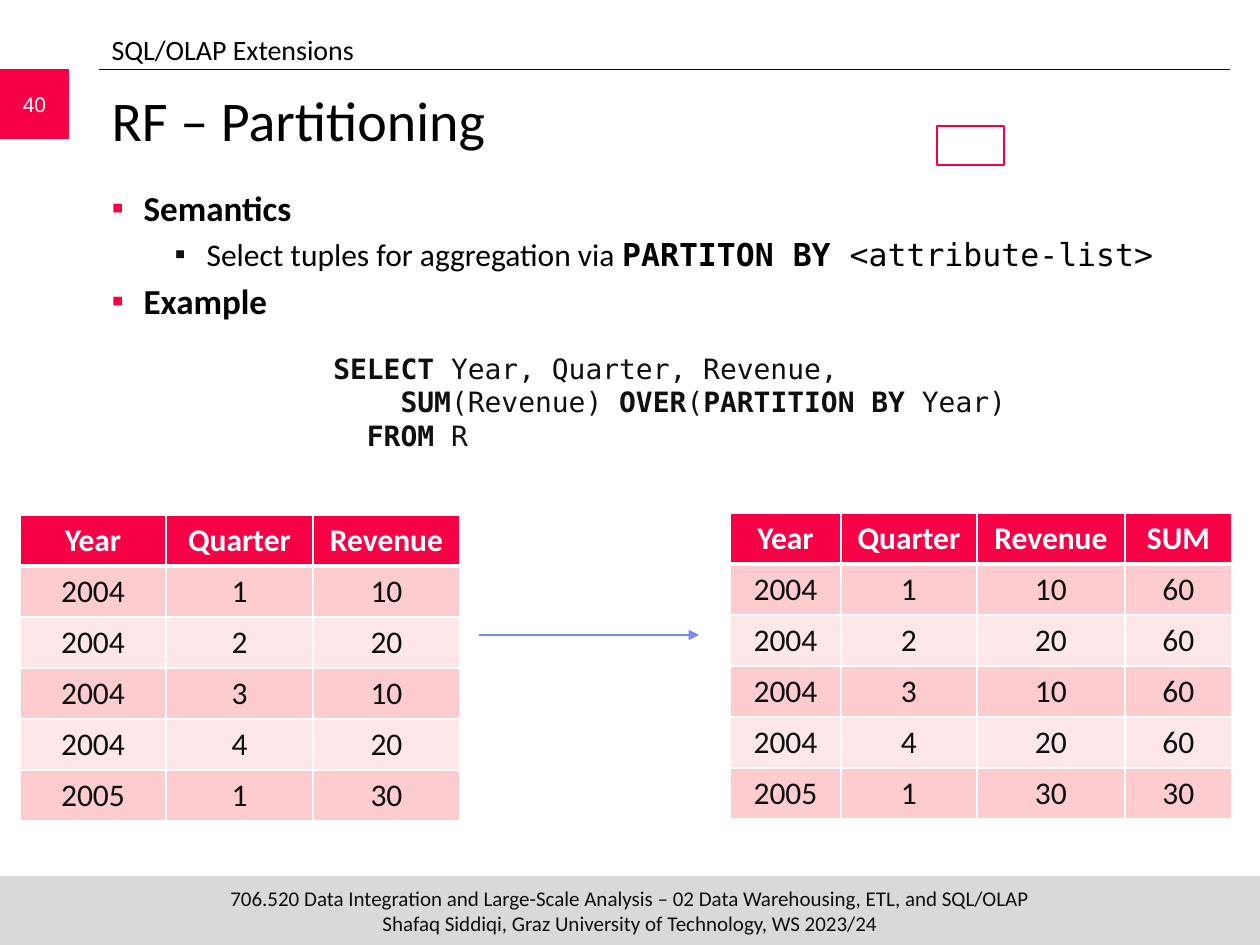
"""Builds the slide on SQL/OLAP partitioning of reporting functions."""
from lxml import etree
from pptx import Presentation
from pptx.dml.color import RGBColor
from pptx.enum.shapes import MSO_CONNECTOR, MSO_SHAPE
from pptx.enum.text import MSO_ANCHOR, MSO_AUTO_SIZE, PP_ALIGN
from pptx.oxml.ns import qn
from pptx.util import Pt

RECT, LINE = MSO_SHAPE.RECTANGLE, MSO_CONNECTOR.STRAIGHT
TOP, MIDDLE = MSO_ANCHOR.TOP, MSO_ANCHOR.MIDDLE
LEFT, CENTER = PP_ALIGN.LEFT, PP_ALIGN.CENTER
NO_FIT = MSO_AUTO_SIZE.NONE

BLACK = RGBColor(0x00, 0x00, 0x00)
INK = RGBColor(0x0F, 0x0F, 0x0F)
WHITE = RGBColor(0xFF, 0xFF, 0xFF)
RED = RGBColor(0xF7, 0x01, 0x46)
GREY = RGBColor(0xD9, 0xD9, 0xD9)
BLUE = RGBColor(0x78, 0x89, 0xFB)
BANDS = RGBColor(0xFC, 0xCC, 0xCF), RGBColor(0xFD, 0xE7, 0xE9)

SANS, MONO, ARIAL = "Calibri", "DejaVu Sans Mono", "Arial"
SCALE = 914400 / 126
ROW_H = 51

HEADER = "SQL/OLAP Extensions"
TITLE = "RF – Partitioning"
NUMBER = "40"
FOOTER = ("706.520 Data Integration and Large-Scale Analysis – 02 Data Warehousing, ETL, and SQL/OLAP\v"
          "Shafaq Siddiqi, Graz University of Technology, WS 2023/24")
BULLETS = [
    (0, [("Semantics", SANS, True)]),
    (1, [("Select tuples for aggregation via ", SANS, False),
         ("PARTITON BY", MONO, True), (" <attribute-list>", MONO, False)]),
    (0, [("Example", SANS, True)]),
]
LEVELS = [(20, 32, RED), (18, 95, INK)]
QUERY = [
    [("SELECT ", True), ("Year, Quarter, Revenue,", False)],
    [("    ", False), ("SUM", True), ("(Revenue) ", False), ("OVER", True),
     ("(", False), ("PARTITION BY ", True), ("Year)", False)],
    [("  ", False), ("FROM ", True), ("R", False)],
]
HEADS = ["Year", "Quarter", "Revenue", "SUM"]
RESULT = [
    (2004, 1, 10, 60),
    (2004, 2, 20, 60),
    (2004, 3, 10, 60),
    (2004, 4, 20, 60),
    (2005, 1, 30, 30),
]
TABLES = [(730, 513, [111, 136, 148, 107]), (20, 515, [146, 147, 147])]


def px(*values):
    return [round(v * SCALE) for v in values]


def style(r, size, color, font=SANS, bold=False):
    r.font.size, r.font.name, r.font.bold = Pt(size), font, bold
    r.font.color.rgb = color


def add_run(p, text, *look):
    r = p.add_run()
    r.text = text
    style(r, *look)


def fill_text(tf, text, size, color, font=SANS, align=LEFT, anchor=TOP):
    tf.text = text
    tf.word_wrap, tf.auto_size, tf.vertical_anchor = True, NO_FIT, anchor
    p = tf.paragraphs[0]
    p.alignment, p.space_before = align, Pt(0)
    for r in p.runs:
        style(r, size, color, font)


def place(sp, *box):
    sp.left, sp.top, sp.width, sp.height = px(*box)
    return sp.text_frame


def add_rect(s, box, fill=None, line=None):
    sp = s.shapes.add_shape(RECT, *px(*box))
    sp.shadow.inherit = False
    if fill is None:
        sp.fill.background()
    else:
        sp.fill.solid()
        sp.fill.fore_color.rgb = fill
    if line is None:
        sp.line.fill.background()
    else:
        sp.line.color.rgb, sp.line.width = line, Pt(1.5)
    tf = sp.text_frame
    tf.margin_left = tf.margin_right = tf.margin_top = tf.margin_bottom = 0
    return tf


def add_line(s, ends, color, width, arrow=False):
    c = s.shapes.add_connector(LINE, *px(*ends))
    c.line.color.rgb, c.line.width = color, Pt(width)
    if arrow:
        etree.SubElement(c.line._get_or_add_ln(), qn("a:tailEnd"), type="triangle")
    etree.SubElement(c._element.spPr, qn("a:effectLst"))


def add_color(parent, color):
    etree.SubElement(parent, qn("a:srgbClr"), val=str(color))


def add_bullet(p, margin, color):
    pPr = p._p.get_or_add_pPr()
    pPr.set("marL", str(px(margin)[0]))
    pPr.set("indent", str(px(-32)[0]))
    add_color(etree.SubElement(pPr, qn("a:buClr")), color)
    etree.SubElement(pPr, qn("a:buFont"), typeface=ARIAL)
    etree.SubElement(pPr, qn("a:buChar"), char="▪")


def add_borders(cell, bottom):
    tcPr = cell._tc.get_or_add_tcPr()
    for side, width in (("L", 1), ("R", 1), ("T", 1), ("B", bottom)):
        ln = etree.SubElement(tcPr, qn("a:ln" + side), w=str(Pt(width)))
        add_color(etree.SubElement(ln, qn("a:solidFill")), WHITE)


def add_grid(s, left, top, widths):
    rows = [HEADS] + RESULT
    box = px(left, top, sum(widths), ROW_H * len(rows))
    table = s.shapes.add_table(len(rows), len(widths), *box).table
    for col, width in zip(table.columns, px(*widths)):
        col.width = width
    for i, values in enumerate(rows):
        table.rows[i].height = px(ROW_H)[0]
        head = i == 0
        for j in range(len(widths)):
            cell = table.cell(i, j)
            add_borders(cell, 3 if head else 1)
            cell.fill.solid()
            cell.fill.fore_color.rgb = RED if head else BANDS[(i - 1) % 2]
            p = cell.text_frame.paragraphs[0]
            p.alignment = CENTER
            add_run(p, str(values[j]), 18, WHITE if head else INK, SANS, head)


def main():
    prs = Presentation()
    prs.slide_width, prs.slide_height = px(1260, 945)
    s = prs.slides.add_slide(prs.slide_layouts[7])
    title, body, header = s.placeholders

    fill_text(add_rect(s, (0, 876, 1260, 69), GREY), FOOTER, 12, INK, SANS, CENTER, MIDDLE)
    add_line(s, (99, 69, 1230, 69), INK, 0.5)
    fill_text(add_rect(s, (0, 69, 69, 70), RED), NUMBER, 12, WHITE, ARIAL, CENTER, MIDDLE)
    fill_text(place(title, 99, 79, 1130, 105), TITLE, 32, BLACK)
    fill_text(place(header, 99, 26, 1134, 45), HEADER, 16, BLACK)

    tf = place(body, 99, 180, 1130, 680)
    tf.auto_size = NO_FIT
    for i, (level, runs) in enumerate(BULLETS):
        p = tf.add_paragraph() if i else tf.paragraphs[0]
        size, margin, color = LEVELS[level]
        p.level = level
        if i == 0:
            p.space_before = Pt(0)
        add_bullet(p, margin, color)
        for text, font, bold in runs:
            add_run(p, text, size, BLACK, font, bold)

    add_rect(s, (937, 126, 67, 39), line=RED)
    tf = s.shapes.add_textbox(*px(321, 345, 716, 115)).text_frame
    tf.word_wrap = True
    for i, runs in enumerate(QUERY):
        p = tf.add_paragraph() if i else tf.paragraphs[0]
        for text, bold in runs:
            add_run(p, text, 16, INK, MONO, bold)

    for left, top, widths in TABLES:
        add_grid(s, left, top, widths)
    add_line(s, (479, 635, 699, 635), BLUE, 1.5, arrow=True)
    prs.save("out.pptx")


if __name__ == "__main__":
    main()
